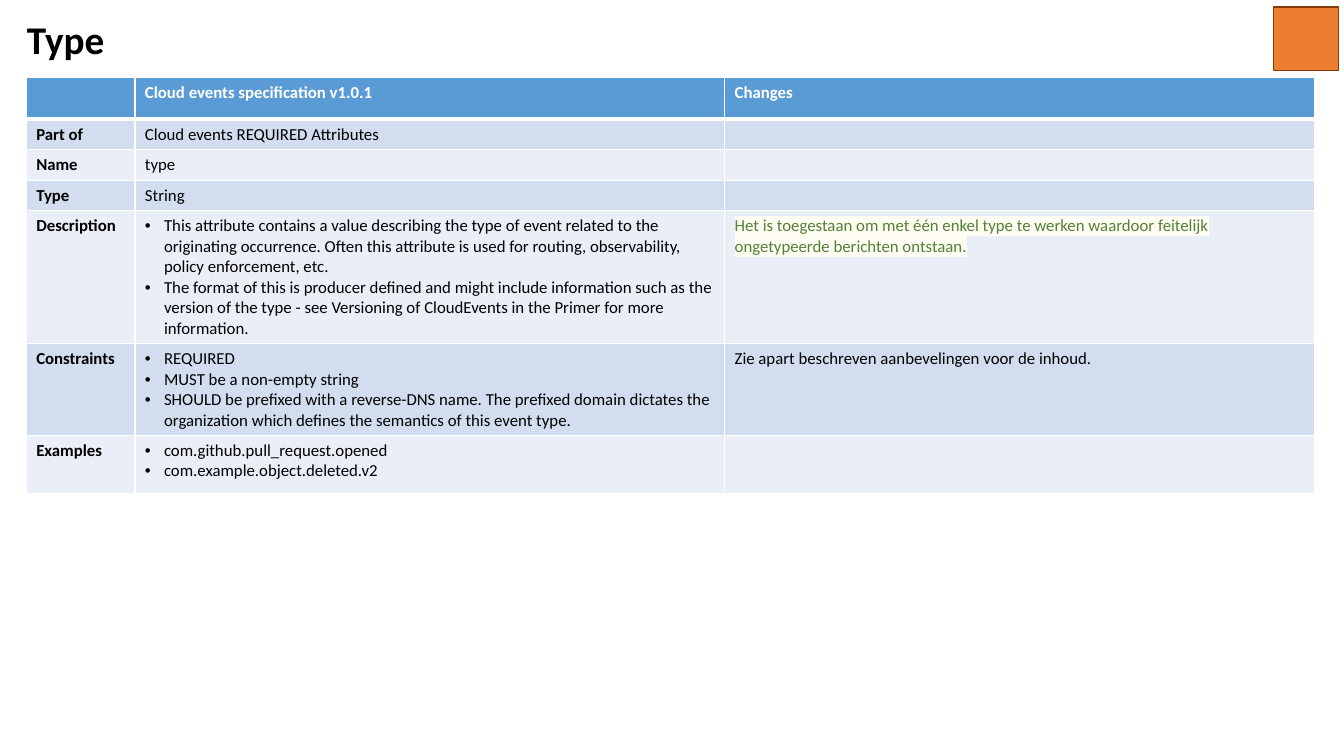
import pptx
import pptx.dml.color
import pptx.enum.shapes
import pptx.enum.text
import pptx.oxml
import pptx.oxml.ns
import pptx.util
from lxml import etree

Cm = pptx.util.Cm
Pt = pptx.util.Pt
qn = pptx.oxml.ns.qn

FONT = "Calibri"
BLACK, WHITE = "000000", "FFFFFF"
HEADER_FILL, BANDS = "5B9BD5", ("D2DEEF", "EAEFF7")
CHANGE_COLOUR, CHANGE_HIGHLIGHT = "548235", "FFFCF3"

COLUMN_WIDTHS = (2.74, 14.86, 14.86)
ROW_HEIGHTS = (1.05, 0.77, 0.77, 0.77, 3.35, 2.31, 1.48)

# Lists become bulleted paragraphs
ROWS = (
    ("", "Cloud events specification v1.0.1", "Changes"),
    ("Part of", "Cloud events REQUIRED Attributes", ""),
    ("Name", "type", ""),
    ("Type", "String", ""),
    ("Description", [
        "This attribute contains a value describing the type of event related to the "
        "originating occurrence. Often this attribute is used for routing, "
        "observability, policy enforcement, etc.",
        "The format of this is producer defined and might include information such as "
        "the version of the type - see Versioning of CloudEvents in the Primer for "
        "more information.",
    ], "Het is toegestaan om met één enkel type te werken waardoor feitelijk "
       "ongetypeerde berichten ontstaan."),
    ("Constraints", [
        "REQUIRED",
        "MUST be a non-empty string",
        "SHOULD be prefixed with a reverse-DNS name. The prefixed domain dictates the "
        "organization which defines the semantics of this event type.",
    ], "Zie apart beschreven aanbevelingen voor de inhoud."),
    ("Examples", ["com.github.pull_request.opened", "com.example.object.deleted.v2"], ""),
)
DESCRIPTION_ROW = 4


def rgb(colour):
    return pptx.dml.color.RGBColor.from_string(colour)


def format_run(r, size, colour, bold):
    r.font.size = Pt(size)
    r.font.bold = bold
    r.font.color.rgb = rgb(colour)
    r.font.name = FONT


def highlight(r, colour):
    mark = etree.Element(qn("a:highlight"))
    etree.SubElement(mark, qn("a:srgbClr"), val=colour)
    r.font._element.find(qn("a:solidFill")).addnext(mark)


def add_bullet(p):
    pPr = p._p.get_or_add_pPr()
    indent = Cm(0.48)
    pPr.set("marL", str(indent))
    pPr.set("indent", str(-indent))
    etree.SubElement(pPr, qn("a:buFont"), typeface="Arial")
    etree.SubElement(pPr, qn("a:buChar"), char="•")


def add_border(cell, side, width):
    ln = etree.SubElement(cell._tc.get_or_add_tcPr(), qn("a:ln" + side), w=str(Pt(width)))
    fill = etree.SubElement(ln, qn("a:solidFill"))
    etree.SubElement(fill, qn("a:srgbClr"), val=WHITE)


def fill_cell(cell, content, fill, colour, bold, widths):
    for side in "LRTB":
        add_border(cell, side, widths.get(side, 1))
    cell.fill.solid()
    cell.fill.fore_color.rgb = rgb(fill)
    bulleted = isinstance(content, list)
    cell.text_frame.text = "\n".join(content) if bulleted else content
    for p in cell.text_frame.paragraphs:
        if bulleted:
            add_bullet(p)
        for r in p.runs:
            format_run(r, 12, colour, bold)
        # Keeps empty cells at the table's text size
        etree.SubElement(p._p, qn("a:endParaRPr"), sz="1200")


def add_title(s, text):
    sp = s.shapes.add_textbox(Cm(0.43), Cm(0.18), Cm(15.11), Cm(1.75))
    tf = sp.text_frame
    tf.word_wrap = True
    tf.vertical_anchor = pptx.enum.text.MSO_ANCHOR.MIDDLE
    tf.text = text
    p = tf.paragraphs[0]
    p.line_spacing = 0.9
    format_run(p.runs[0], 28, BLACK, True)


def add_attribute_table(s):
    table = s.shapes.add_table(
        len(ROWS), len(COLUMN_WIDTHS), Cm(0.66), Cm(1.95),
        Cm(sum(COLUMN_WIDTHS)), Cm(sum(ROW_HEIGHTS))).table
    for column, width in zip(table.columns, COLUMN_WIDTHS):
        column.width = Cm(width)
    for i, (row, height) in enumerate(zip(ROWS, ROW_HEIGHTS)):
        table.rows[i].height = Cm(height)
        header = i == 0
        fill = HEADER_FILL if header else BANDS[(i - 1) % 2]
        # A thick rule separates the header from the first row
        widths = {0: {"B": 3}, 1: {"T": 3}}.get(i, {})
        for j, content in enumerate(row):
            fill_cell(table.cell(i, j), content, fill,
                      WHITE if header else BLACK, header or j == 0, widths)
    change = table.cell(DESCRIPTION_ROW, 2).text_frame.paragraphs[0].runs[0]
    change.font.color.rgb = rgb(CHANGE_COLOUR)
    highlight(change, CHANGE_HIGHLIGHT)


def add_marker(s):
    sp = s.shapes.add_shape(pptx.enum.shapes.MSO_SHAPE.RECTANGLE,
                            Cm(32.1), Cm(0.18), Cm(1.63), Cm(1.6))
    sp.shadow.inherit = False
    sp.fill.solid()
    sp.fill.fore_color.rgb = rgb("ED7D31")
    sp.line.color.rgb = rgb("843C0B")
    sp.line.width = Pt(1)


def main():
    prs = pptx.Presentation()
    prs.slide_width, prs.slide_height = Cm(33.87), Cm(19.05)
    s = prs.slides.add_slide(prs.slide_layouts[6])
    add_title(s, "Type")
    add_attribute_table(s)
    add_marker(s)
    prs.save("out.pptx")


if __name__ == "__main__":
    main()
